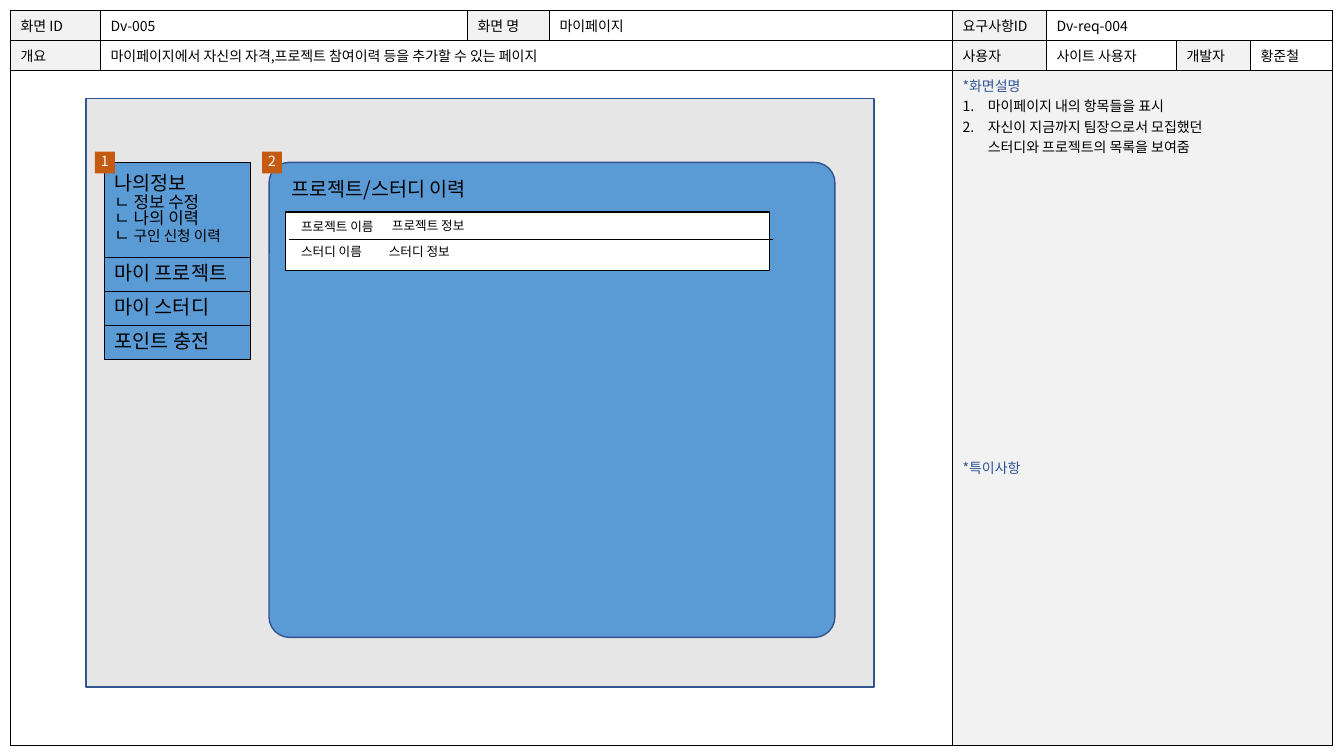
"""Build the my-page screen specification slide."""
from dataclasses import dataclass

from lxml.etree import SubElement
from pptx import Presentation
from pptx.dml.color import RGBColor
from pptx.enum.shapes import MSO_CONNECTOR, MSO_SHAPE
from pptx.enum.text import MSO_ANCHOR, PP_ALIGN
from pptx.oxml.ns import qn
from pptx.util import Pt


@dataclass(frozen=True)
class Theme:
    font: str = "Noto Sans CJK KR"
    black: str = "000000"
    white: str = "FFFFFF"
    label: str = "F2F2F2"
    canvas: str = "E7E6E6"
    panel: str = "5B9BD5"
    outline: str = "325491"
    heading: str = "2F5597"
    badge: str = "C55A11"
    large: float = 14
    medium: float = 12
    item: float = 10.5
    body: float = 10
    small: float = 9
    menu_spacing: float = 0.83


THEME = Theme()

TABLE_ORIGIN = (7.5, 7.2)
COLUMN_WIDTHS = (64.3, 262.1, 58.6, 287.9, 67.1, 92.9, 52.9, 58.5)
ROW_HEIGHTS = (21.6, 21.6, 482)
HEADER_ROWS = (
    ("화면 ID", "Dv-005", "화면 명", "마이페이지", "요구사항ID", "Dv-req-004", "", ""),
    ("개요", "마이페이지에서 자신의 자격,프로젝트 참여이력 등을 추가할 수 있는 페이지", "", "",
     "사용자", "사이트 사용자", "개발자", "황준철"),
)
LABELS = {"화면 ID", "화면 명", "요구사항ID", "개요", "사용자", "개발자"}
MERGES = ((0, 5, 7), (1, 1, 3), (2, 0, 3), (2, 4, 7))
NOTES_CELL = (2, 4)
NOTES_HEADING = "*화면설명"
NOTES = (
    "마이페이지 내의 항목들을 표시",
    "자신이 지금까지 팀장으로서 모집했던\v스터디와 프로젝트의 목록을 보여줌",
)
REMARKS_HEADING = "*특이사항"
REMARKS_GAP = 215

CANVAS_BOX = (61.4, 70.4, 562.9, 420.5)
PANEL_BOX = (192.2, 116, 404.2, 339.3)
PANEL_ROUNDING = 0.043
HISTORY_BOX = (204, 151.4, 345.6, 41.9)
HISTORY_DIVIDER = (206.2, 171.2, 551.8, 171.2)
CAPTIONS = (
    ("프로젝트/스터디 이력", (200.9, 123.8, 180.7, 24.5), THEME.large),
    ("프로젝트 이름", (208, 153.4, 72, 18), THEME.small),
    ("스터디 이름", (208, 171.4, 62.6, 18), THEME.small),
    ("프로젝트 정보", (272.9, 152.6, 72, 18), THEME.small),
    ("스터디 정보", (270.7, 171.4, 62.6, 18), THEME.small),
)
MENU_LEFT, MENU_TOP, MENU_WIDTH = 74.7, 116, 104.6
MENU = (
    (68, (
        (("나의정보", THEME.large),),
        (("ㄴ 정보 수정", THEME.medium),),
        (("ㄴ 나의 이력", THEME.medium),),
        (("ㄴ ", THEME.medium), ("구인 신청 이력", THEME.item)),
    )),
    (24.2, ((("마이 프로젝트", THEME.large),),)),
    (24.2, ((("마이 스터디", THEME.large),),)),
    (24.2, ((("포인트 충전", THEME.large),),)),
)
BADGE_TOP, BADGE_WIDTH, BADGE_HEIGHT = 108.3, 14.2, 15.6
BADGES = (("1", 67.8), ("2", 187.2))


def points(values):
    return [Pt(value) for value in values]


def color(name):
    return RGBColor.from_string(name)


def write(paragraph, parts, ink=THEME.black):
    paragraph.text = parts[0][0]
    sized = [(run, parts[0][1]) for run in paragraph.runs]
    for text, size in parts[1:]:
        run = paragraph.add_run()
        run.text = text
        sized.append((run, size))
    for run, size in sized:
        run.font.name = THEME.font
        run.font.size = Pt(size)
        run.font.color.rgb = color(ink)
        SubElement(run.font._element, qn("a:ea"), typeface=THEME.font)


def write_lines(frame, lines, ink=THEME.black, align=PP_ALIGN.LEFT):
    frame.word_wrap = True
    frame.vertical_anchor = MSO_ANCHOR.MIDDLE
    for index, parts in enumerate(lines):
        paragraph = frame.add_paragraph() if index else frame.paragraphs[0]
        paragraph.alignment = align
        paragraph.line_spacing = THEME.menu_spacing
        write(paragraph, parts, ink)


def add_box(slide, box, fill, line=None, width=1, kind=MSO_SHAPE.RECTANGLE):
    shape = slide.shapes.add_shape(kind, *points(box))
    shape.shadow.inherit = False
    shape.fill.solid()
    shape.fill.fore_color.rgb = color(fill)
    if line:
        shape.line.color.rgb = color(line)
        shape.line.width = Pt(width)
    else:
        shape.line.fill.background()
    return shape


def style_cell(cell, fill):
    properties = cell._tc.get_or_add_tcPr()
    for side in ("a:lnL", "a:lnR", "a:lnT", "a:lnB"):
        border = SubElement(properties, qn(side), w=str(Pt(0.5)))
        solid = SubElement(border, qn("a:solidFill"))
        SubElement(solid, qn("a:srgbClr"), val=THEME.black)
    cell.fill.solid()
    cell.fill.fore_color.rgb = color(fill)


def add_notes(frame):
    write(frame.paragraphs[0], ((NOTES_HEADING, THEME.body),), THEME.heading)
    for note in NOTES:
        paragraph = frame.add_paragraph()
        write(paragraph, ((note, THEME.body),))
        properties = paragraph._p.get_or_add_pPr()
        properties.set("marL", str(Pt(18)))
        properties.set("indent", str(Pt(-18)))
        SubElement(properties, qn("a:buFont"), typeface="+mj-lt")
        SubElement(properties, qn("a:buAutoNum"), type="arabicPeriod")
    remarks = frame.add_paragraph()
    remarks.space_before = Pt(REMARKS_GAP)
    write(remarks, ((REMARKS_HEADING, THEME.body),), THEME.heading)


def add_specification(slide):
    size = (sum(COLUMN_WIDTHS), sum(ROW_HEIGHTS))
    table = slide.shapes.add_table(
        len(ROW_HEIGHTS), len(COLUMN_WIDTHS), *points(TABLE_ORIGIN + size)).table
    table.first_row = table.horz_banding = False
    for column, width in zip(table.columns, COLUMN_WIDTHS):
        column.width = Pt(width)
    for row, height in zip(table.rows, ROW_HEIGHTS):
        row.height = Pt(height)
    for row, first, last in MERGES:
        table.cell(row, first).merge(table.cell(row, last))
    for row, texts in enumerate(HEADER_ROWS):
        for column, text in enumerate(texts):
            cell = table.cell(row, column)
            style_cell(cell, THEME.label if text in LABELS else THEME.white)
            if text:
                write(cell.text_frame.paragraphs[0], ((text, THEME.body),))
    for column in range(len(COLUMN_WIDTHS)):
        in_notes = column >= NOTES_CELL[1]
        style_cell(table.cell(2, column), THEME.label if in_notes else THEME.white)
    add_notes(table.cell(*NOTES_CELL).text_frame)


def add_mockup(slide):
    add_box(slide, CANVAS_BOX, THEME.canvas, THEME.outline)
    panel = add_box(slide, PANEL_BOX, THEME.panel, THEME.outline,
                    kind=MSO_SHAPE.ROUNDED_RECTANGLE)
    panel.adjustments[0] = PANEL_ROUNDING
    add_box(slide, HISTORY_BOX, THEME.white, THEME.black)
    for text, box, size in CAPTIONS:
        caption = slide.shapes.add_textbox(*points(box))
        write_lines(caption.text_frame, (((text, size),),))
    divider = slide.shapes.add_connector(MSO_CONNECTOR.STRAIGHT, *points(HISTORY_DIVIDER))
    divider.line.color.rgb = color(THEME.black)
    divider.line.width = Pt(1)
    SubElement(divider._element.spPr, qn("a:effectLst"))
    top = MENU_TOP
    for height, lines in MENU:
        entry = add_box(slide, (MENU_LEFT, top, MENU_WIDTH, height),
                        THEME.panel, THEME.black, 0.75)
        write_lines(entry.text_frame, lines)
        top += height
    for number, left in BADGES:
        badge = add_box(slide, (left, BADGE_TOP, BADGE_WIDTH, BADGE_HEIGHT), THEME.badge)
        write_lines(badge.text_frame, (((number, THEME.body),),), THEME.white, PP_ALIGN.CENTER)
        badge.text_frame.word_wrap = False


def main():
    presentation = Presentation()
    presentation.slide_width, presentation.slide_height = Pt(960), Pt(540)
    slide = presentation.slides.add_slide(presentation.slide_layouts[6])
    add_specification(slide)
    add_mockup(slide)
    presentation.save("out.pptx")


if __name__ == "__main__":
    main()
